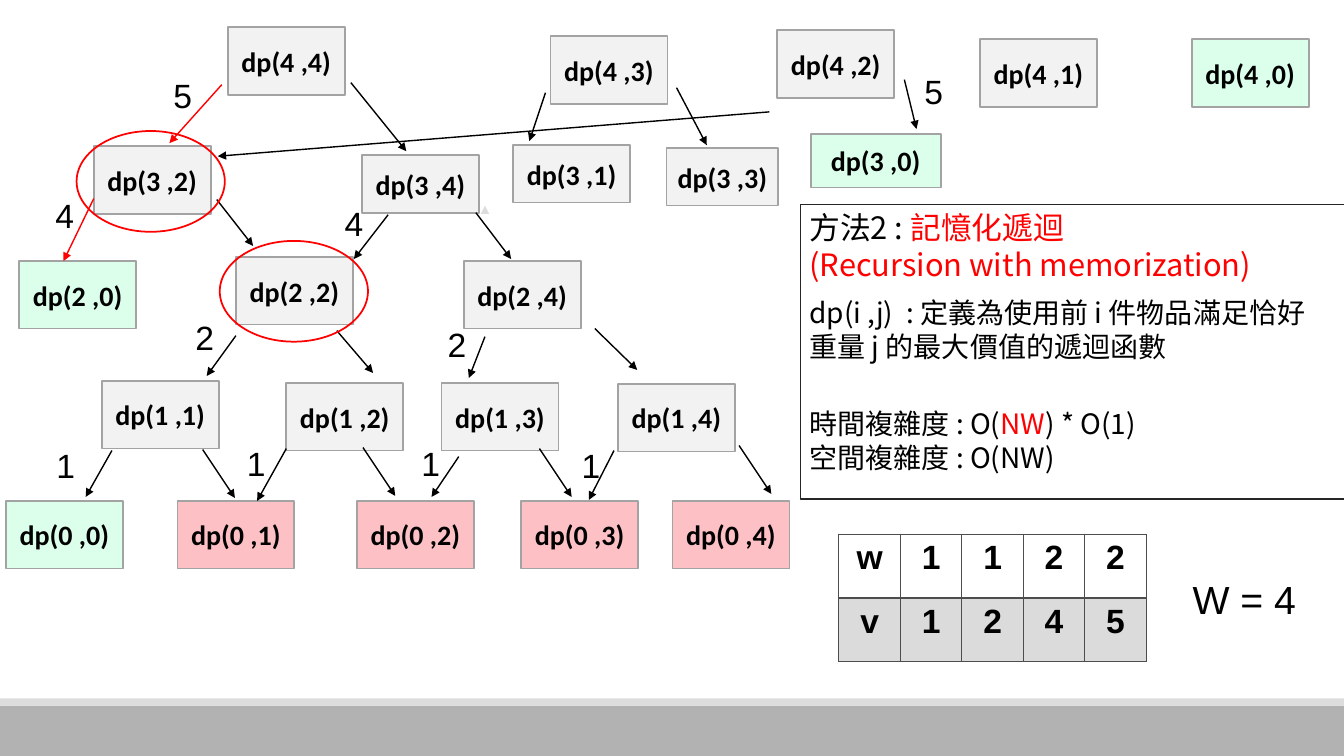
from lxml.etree import SubElement
from pptx import Presentation
from pptx.dml.color import RGBColor
from pptx.enum.shapes import MSO_CONNECTOR, MSO_SHAPE
from pptx.enum.text import MSO_ANCHOR, PP_ALIGN
from pptx.oxml.ns import qn
from pptx.util import Emu, Pt

SCALE = 9144  # EMU per px, 100 px to the inch
COLORS = {
    "black": "000000", "red": "FF0000", "grid": "4D4D4D", "pale": "DDDDDD",
    "footer": "B2B2B2", "panel": "262626", "outline": "A3A3A3",
    "state": "DFDFDF", "base": "4BFF9C", "invalid": "FA626D",
}
OPACITY = {"state": 40, "base": 20, "invalid": 40, "grid": 20}
CJK_FONT = "Noto Sans CJK SC"

FOOTER_BARS = [("footer", (0, 700, 1333, 50)), ("pale", (0, 693, 1333, 7))]
PANEL = (794, 203, 546, 292)

# Place, size, line pitch in points, then paragraphs of (text, colour) runs
NOTES = [
    ((793, 202, 521, 84), 22, 26.5, [
        [("方法2 : ", "black"), ("記憶化遞迴", "red")],
        [("(Recursion with memorization)", "red")],
    ]),
    ((793, 288, 532, 145), 20, 24.2, [
        [("dp(i ,j)  : 定義為使用前 i 件物品滿足恰好重量 j 的最大價值的遞迴函數", "black")],
    ]),
    ((793, 398, 532, 77), 20, 24.2, [
        [("時間複雜度 : O(", "black"), ("NW", "red"), (") * O(1)", "black")],
        [("空間複雜度 : O(NW)", "black")],
    ]),
]

ITEMS = [["w", "1", "1", "2", "2"], ["v", "1", "2", "4", "5"]]
TABLE_LEFT, TABLE_TOP, COLUMN_WIDTH, ROW_HEIGHT = 832, 530, 61, 63
CAPACITY = ("W = 4", (1173, 566, 134, 57))

# (i, j): left, top
NODES = {
    (4, 4): (226, 27), (4, 3): (546, 36), (4, 2): (771, 30),
    (4, 1): (972, 39), (4, 0): (1182, 39),
    (3, 2): (93, 145), (3, 4): (359, 154), (3, 1): (509, 144),
    (3, 3): (661, 147), (3, 0): (804, 133),
    (2, 0): (19, 259), (2, 2): (234, 255), (2, 4): (460, 259),
    (1, 1): (101, 378), (1, 2): (284, 380), (1, 3): (438, 380), (1, 4): (613, 381),
    (0, 0): (6, 497), (0, 1): (176, 497), (0, 2): (354, 497),
    (0, 3): (517, 497), (0, 4): (667, 497),
}
NODE_SIZE = (116, 67)
SPECIAL_SIZES = {(3, 4): (116, 57), (3, 1): (116, 57), (3, 3): (111, 57), (3, 0): (129, 53)}
REUSED_RINGS = [(218, 239), (76, 130)]
RING_SIZE = (147, 100)

ARROWS = {
    "red": [(220, 84, 168, 142), (93, 197, 63, 259)],
    "black": [
        (348, 82, 403, 150), (541, 92, 525, 140), (671, 87, 701, 144),
        (763, 111, 216, 155), (897, 79, 909, 128),
        (215, 198, 251, 244), (385, 213, 351, 257), (472, 211, 507, 257),
        (234, 333, 205, 373), (334, 328, 370, 370),
        (481, 334, 465, 375), (590, 326, 632, 367),
        (111, 447, 85, 493), (201, 446, 233, 494),
        (284, 445, 255, 497), (360, 444, 392, 492),
        (455, 453, 428, 493), (535, 445, 567, 493),
        (609, 447, 584, 496), (733, 442, 765, 490),
    ],
    "pale": [(481, 207, 481, 204)],
}

# Value gained: left, top of each label
VALUE_LABELS = {
    "5": [(162, 69), (907, 65)],
    "4": [(45, 188), (332, 196)],
    "2": [(184, 309), (434, 316)],
    "1": [(46, 436), (235, 434), (408, 434), (567, 436)],
}
LABEL_SIZE = (29, 50)


def emu(*lengths):
    return [Emu(length * SCALE) for length in lengths]


def rgb(name):
    return RGBColor.from_string(COLORS[name])


def fill_with(fill, name, opacity=100):
    fill.solid()
    fill.fore_color.rgb = rgb(name)
    if opacity < 100:
        color = fill._xPr.find(qn("a:solidFill"))[0]
        SubElement(color, qn("a:alpha"), val=str(opacity * 1000))


def style(paragraph, size, font_name, bold=False, color="black"):
    font = paragraph.font
    font.size, font.name, font.bold = Pt(size), font_name, bold
    font.color.rgb = rgb(color)


def add_shape(kind, box, fill=None, line=None, opacity=100):
    shape = slide.shapes.add_shape(kind, *emu(*box))
    shape.shadow.inherit = False
    if fill:
        fill_with(shape.fill, fill, opacity)
    else:
        shape.fill.background()
    if line:
        shape.line.color.rgb = rgb(line)
        shape.line.width = Pt(1.25)
    else:
        shape.line.fill.background()
    return shape


def add_text(box):
    frame = slide.shapes.add_textbox(*emu(*box)).text_frame
    frame.word_wrap = True
    return frame


def add_label(text, box, size):
    paragraph = add_text(box).paragraphs[0]
    paragraph.text = text
    style(paragraph, size, "Arial")


def add_note(box, size, pitch, paragraphs):
    frame = add_text(box)
    for index, runs in enumerate(paragraphs):
        paragraph = frame.add_paragraph() if index else frame.paragraphs[0]
        paragraph.line_spacing = Pt(pitch)
        style(paragraph, size, CJK_FONT)
        for text, color in runs:
            run = paragraph.add_run()
            run.text = text
            run.font.color.rgb = rgb(color)
            run.font.name = CJK_FONT
            SubElement(run.font._element, qn("a:ea"), typeface=CJK_FONT)


def add_node(i, j):
    kind = "base" if j == 0 else "invalid" if i == 0 else "state"
    box = NODES[i, j] + SPECIAL_SIZES.get((i, j), NODE_SIZE)
    shape = add_shape(MSO_SHAPE.FLOWCHART_PROCESS, box, kind, "outline", OPACITY[kind])
    frame = shape.text_frame
    frame.word_wrap = False
    frame.vertical_anchor = MSO_ANCHOR.MIDDLE
    paragraph = frame.paragraphs[0]
    paragraph.text = f"dp({i} ,{j})"
    paragraph.alignment = PP_ALIGN.CENTER
    style(paragraph, 20, "Calibri", bold=True)


def add_arrow(ends, color):
    arrow = slide.shapes.add_connector(MSO_CONNECTOR.STRAIGHT, *emu(*ends))
    arrow.line.color.rgb = rgb(color)
    arrow.line.width = Pt(1)
    SubElement(arrow.line._get_or_add_ln(), qn("a:tailEnd"), type="triangle")
    SubElement(arrow._element.spPr, qn("a:effectLst"))


def set_borders(cell, widths):
    properties = cell._tc.get_or_add_tcPr()
    for index, (side, width) in enumerate(widths.items()):
        line = properties.makeelement(qn(f"a:ln{side}"), {"w": str(Pt(width))})
        fill = SubElement(line, qn("a:solidFill"))
        SubElement(fill, qn("a:srgbClr"), val=COLORS["grid"])
        properties.insert(index, line)


def add_item_table():
    rows, columns = len(ITEMS), len(ITEMS[0])
    box = (TABLE_LEFT, TABLE_TOP, columns * COLUMN_WIDTH, rows * ROW_HEIGHT)
    table = slide.shapes.add_table(rows, columns, *emu(*box)).table
    table.first_row = table.horz_banding = False
    for row, values in enumerate(ITEMS):
        for column, value in enumerate(values):
            cell = table.cell(row, column)
            if row:
                fill_with(cell.fill, "grid", OPACITY["grid"])
            else:
                cell.fill.background()
            set_borders(cell, {"L": 1, "R": 1, "T": 2 if row else 1, "B": 1 if row else 2})
            paragraph = cell.text_frame.paragraphs[0]
            paragraph.text = value
            paragraph.alignment = PP_ALIGN.CENTER
            style(paragraph, 24, "Arial", bold=True)


presentation = Presentation()
presentation.slide_width, presentation.slide_height = emu(1333, 750)
slide = presentation.slides.add_slide(presentation.slide_layouts[6])

for color, bar in FOOTER_BARS:
    add_shape(MSO_SHAPE.RECTANGLE, bar, color)
add_shape(MSO_SHAPE.FLOWCHART_PROCESS, PANEL, line="panel")
for note in NOTES:
    add_note(*note)
add_item_table()
add_label(*CAPACITY, 28)
for state in NODES:
    add_node(*state)
for color, arrows in ARROWS.items():
    for ends in arrows:
        add_arrow(ends, color)
for value, places in VALUE_LABELS.items():
    for place in places:
        add_label(value, place + LABEL_SIZE, 24)
for place in REUSED_RINGS:
    add_shape(MSO_SHAPE.OVAL, place + RING_SIZE, line="red")

presentation.save("out.pptx")
